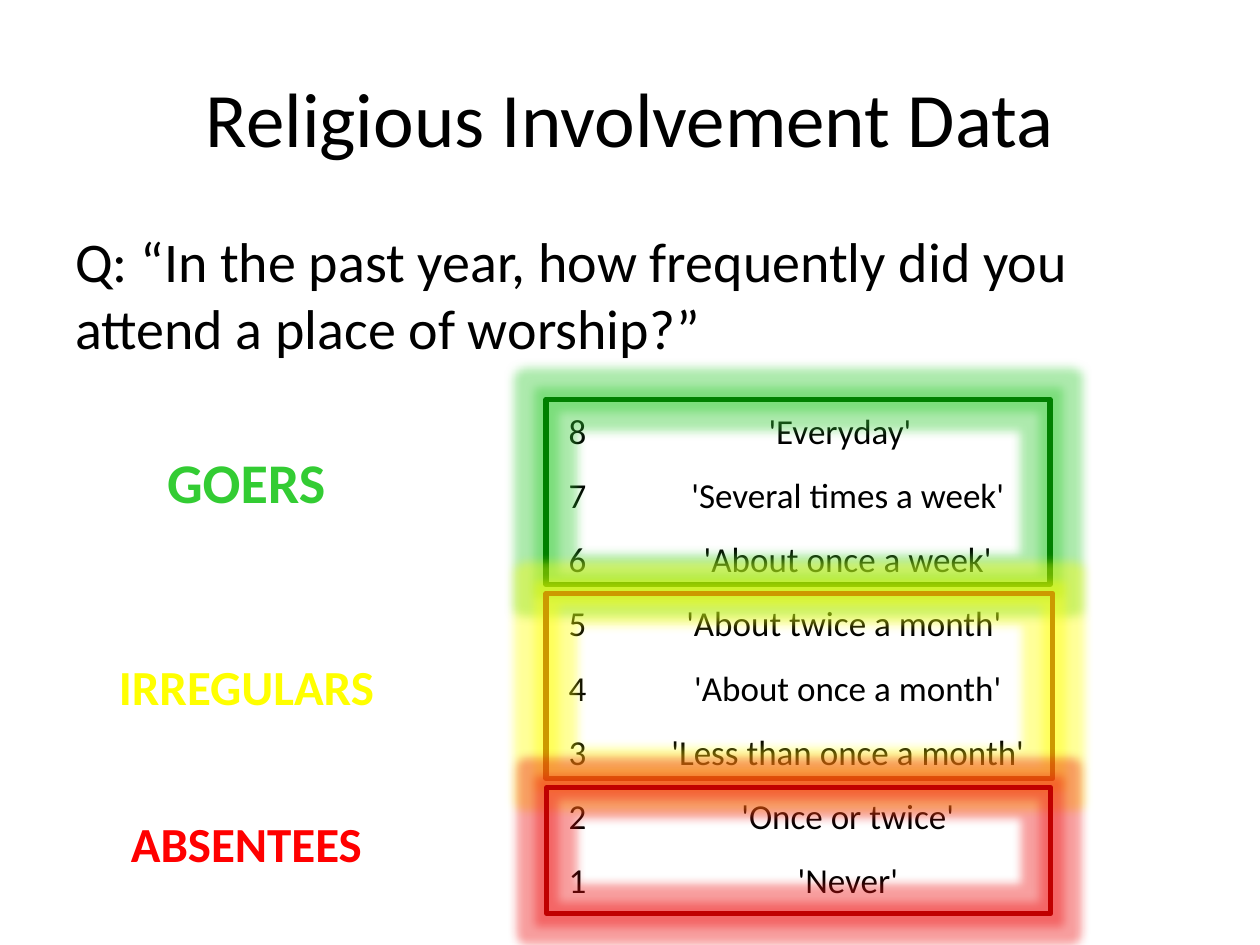
from lxml import etree
from pptx import Presentation
from pptx.dml.color import RGBColor
from pptx.enum import shapes, text
from pptx.oxml.ns import qn
from pptx.util import Pt

THEME = {
    "font": "Calibri", "ink": "000000", "paper": "FFFFFF",
    "title": 44, "question": 32, "cell": 20,
    "border": 3, "glow_radius": 11, "glow_opacity": 40,
}
TITLE = "Religious Involvement Data"
QUESTION = "Q: “In the past year, how frequently did you attend a place of worship?”"
ANSWERS = [
    ("8", "'Everyday'", 0),
    ("7", "'Several times a week'", 9),
    ("6", "'About once a week'", 9),
    ("5", "'About twice a month'", 4.5),
    ("4", "'About once a month'", 9),
    ("3", "'Less than once a month'", 9),
    ("2", "'Once or twice'", 9),
    ("1", "'Never'", 9),
]
GROUPS = [
    {"name": "GOERS", "size": 32, "color": "33CC33", "glow": "33CC33", "border": "008000",
     "rows": 3, "frame": (312, 288, 105.84), "label": (252, 105.84, 46)},
    {"name": "IRREGULARS", "size": 28, "color": "FFFF00", "glow": "FFFF00", "border": "CC9900",
     "rows": 3, "frame": (312, 289.44, 105.84), "label": (371.52, 162, 41.2)},
    {"name": "ABSENTEES", "size": 28, "color": "FF0000", "glow": "EE1111", "border": "C00000",
     "rows": 2, "frame": (312.48, 288, 72), "label": (461.52, 148.32, 41.2)},
]
TABLE_LEFT, TABLE_TOP = 288, 228.24
COLUMNS = (84, 216)
ROW_HEIGHT, FRAME_PITCH = 36.72, 36.96
LABEL_CENTER = 140.8
CENTER, LEFT = text.PP_ALIGN.CENTER, text.PP_ALIGN.LEFT
MIDDLE, TOP = text.MSO_ANCHOR.MIDDLE, text.MSO_ANCHOR.TOP


def set_values(target, values):
    for name, value in values.items():
        setattr(target, name, value)


def write(frame, words, size, color=THEME["ink"], bold=False, align=CENTER):
    para = frame.paragraphs[0]
    para.alignment = align
    span = para.add_run()
    span.text = words
    set_values(span.font, {"name": THEME["font"], "size": Pt(size), "bold": bold})
    span.font.color.rgb = RGBColor.from_string(color)


def add_text(page, place, words, size, anchor=TOP, wrap=True, **style):
    box = page.shapes.add_textbox(*map(Pt, place))
    set_values(box.text_frame, {"word_wrap": wrap, "vertical_anchor": anchor})
    write(box.text_frame, words, size, **style)
    return box


def add_answers(page):
    table = page.shapes.add_table(
        len(ANSWERS), len(COLUMNS), Pt(TABLE_LEFT), Pt(TABLE_TOP),
        Pt(sum(COLUMNS)), Pt(ROW_HEIGHT * len(ANSWERS))).table
    set_values(table, {"first_row": False, "horz_banding": False})
    for column, width in zip(table.columns, COLUMNS):
        column.width = Pt(width)
    for row, (code, answer, indent) in zip(table.rows, ANSWERS):
        row.height = Pt(ROW_HEIGHT)
        for cell, words, inset in zip(row.cells, (code, answer), (0, indent)):
            set_values(cell, {
                "margin_left": Pt(0.72 + inset), "margin_right": Pt(0.72),
                "margin_top": Pt(0.72), "margin_bottom": 0, "vertical_anchor": MIDDLE})
            cell.fill.solid()
            cell.fill.fore_color.rgb = RGBColor.from_string(THEME["paper"])
            write(cell.text_frame, words, THEME["cell"])


def add_glow(shape, color):
    properties = shape._element.spPr
    effects = properties.find(qn("a:effectLst"))
    glow = etree.SubElement(effects, qn("a:glow"), rad=str(Pt(THEME["glow_radius"])))
    tint = etree.SubElement(glow, qn("a:srgbClr"), val=color)
    etree.SubElement(tint, qn("a:alpha"), val=str(THEME["glow_opacity"] * 1000))


def add_frame(page, group, first_row):
    left, width, height = group["frame"]
    top = TABLE_TOP + first_row * FRAME_PITCH
    frame = page.shapes.add_shape(
        shapes.MSO_SHAPE.RECTANGLE, Pt(left), Pt(top), Pt(width), Pt(height))
    frame.shadow.inherit = False
    frame.fill.background()
    frame.line.color.rgb = RGBColor.from_string(group["border"])
    frame.line.width = Pt(THEME["border"])
    add_glow(frame, group["glow"])


def add_label(page, group):
    top, width, height = group["label"]
    box = add_text(page, (LABEL_CENTER - width / 2, top, width, height), group["name"],
                   group["size"], wrap=False, color=group["color"], bold=True)
    box.text_frame.auto_size = text.MSO_AUTO_SIZE.SHAPE_TO_FIT_TEXT


def main():
    deck = Presentation()
    set_values(deck, {"slide_width": Pt(720), "slide_height": Pt(540)})
    page = deck.slides.add_slide(deck.slide_layouts[6])
    add_text(page, (36, 21.6, 648, 90), TITLE, THEME["title"], anchor=MIDDLE)
    add_text(page, (36, 126, 648, 90), QUESTION, THEME["question"], align=LEFT)
    add_answers(page)
    first_row = 0
    for group in GROUPS:
        add_frame(page, group, first_row)
        first_row += group["rows"]
    for group in GROUPS:
        add_label(page, group)
    deck.save("out.pptx")


if __name__ == "__main__":
    main()
